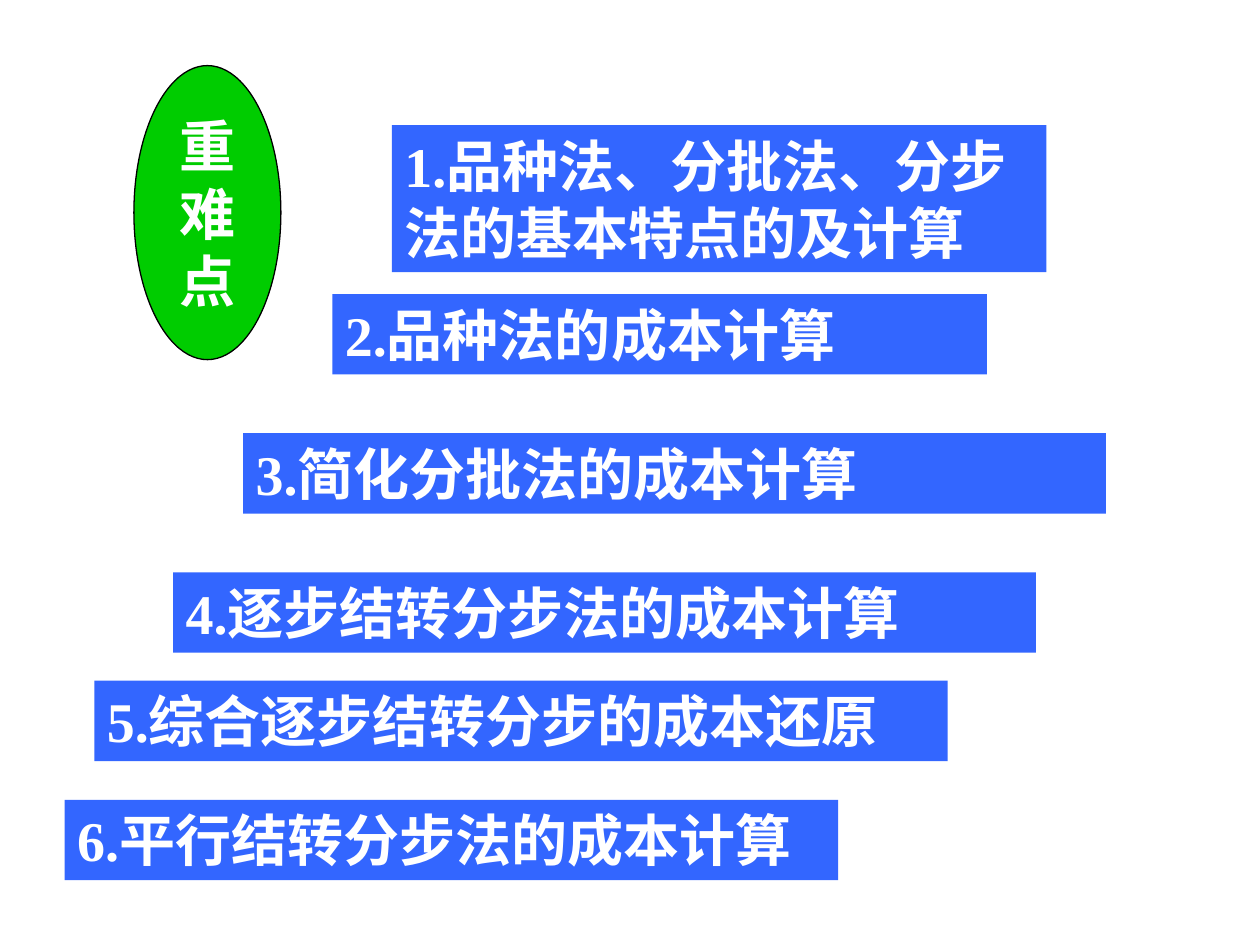
import pptx
import pptx.dml.color
import pptx.enum.shapes
import pptx.enum.text
import pptx.util

Pt = pptx.util.Pt
SHAPES = pptx.enum.shapes.MSO_SHAPE
ALIGN = pptx.enum.text.PP_ALIGN
ANCHOR = pptx.enum.text.MSO_ANCHOR


def color(value):
    return pptx.dml.color.RGBColor.from_string(value)


def add_filled_shape(kind, box, fill, lines, alignment):
    """Add a filled shape with one bold white paragraph per line."""
    shape = slide.shapes.add_shape(kind, *[Pt(length) for length in box])
    shape.shadow.inherit = False
    shape.fill.solid()
    shape.fill.fore_color.rgb = color(fill)
    shape.text_frame.text = "\n".join(lines)
    for paragraph in shape.text_frame.paragraphs:
        paragraph.alignment = alignment
        paragraph.font.name = "Times New Roman"
        paragraph.font.size = Pt(32)
        paragraph.font.bold = True
        paragraph.font.color.rgb = color("FFFFFF")
    return shape


presentation = pptx.Presentation()
presentation.slide_width = Pt(720)
presentation.slide_height = Pt(540)
slide = presentation.slides.add_slide(presentation.slide_layouts[6])

heading = add_filled_shape(SHAPES.OVAL, (76.5, 37.5, 84, 168), "00CC00", "重难点", ALIGN.CENTER)
heading.line.color.rgb = color("000000")
heading.line.width = Pt(0.75)
heading.text_frame.word_wrap = False
heading.text_frame.vertical_anchor = ANCHOR.MIDDLE

# Text, left, top, width, height
topics = [
    ("1.品种法、分批法、分步法的基本特点的及计算", 224, 71.5, 374, 84),
    ("2.品种法的成本计算", 190, 168, 374, 46),
    ("3.简化分批法的成本计算", 139, 247.5, 493, 46),
    ("4.逐步结转分步法的成本计算", 99, 327, 493, 46),
    ("5.综合逐步结转分步的成本还原", 54, 389, 487.5, 46),
    ("6.平行结转分步法的成本计算", 37, 457, 442, 46),
]
for text, *box in topics:
    topic = add_filled_shape(SHAPES.RECTANGLE, box, "3366FF", [text], ALIGN.LEFT)
    topic.line.fill.background()
    topic.text_frame.word_wrap = True
    topic.text_frame.vertical_anchor = ANCHOR.TOP
    topic.text_frame.auto_size = pptx.enum.text.MSO_AUTO_SIZE.SHAPE_TO_FIT_TEXT

presentation.save("out.pptx")
